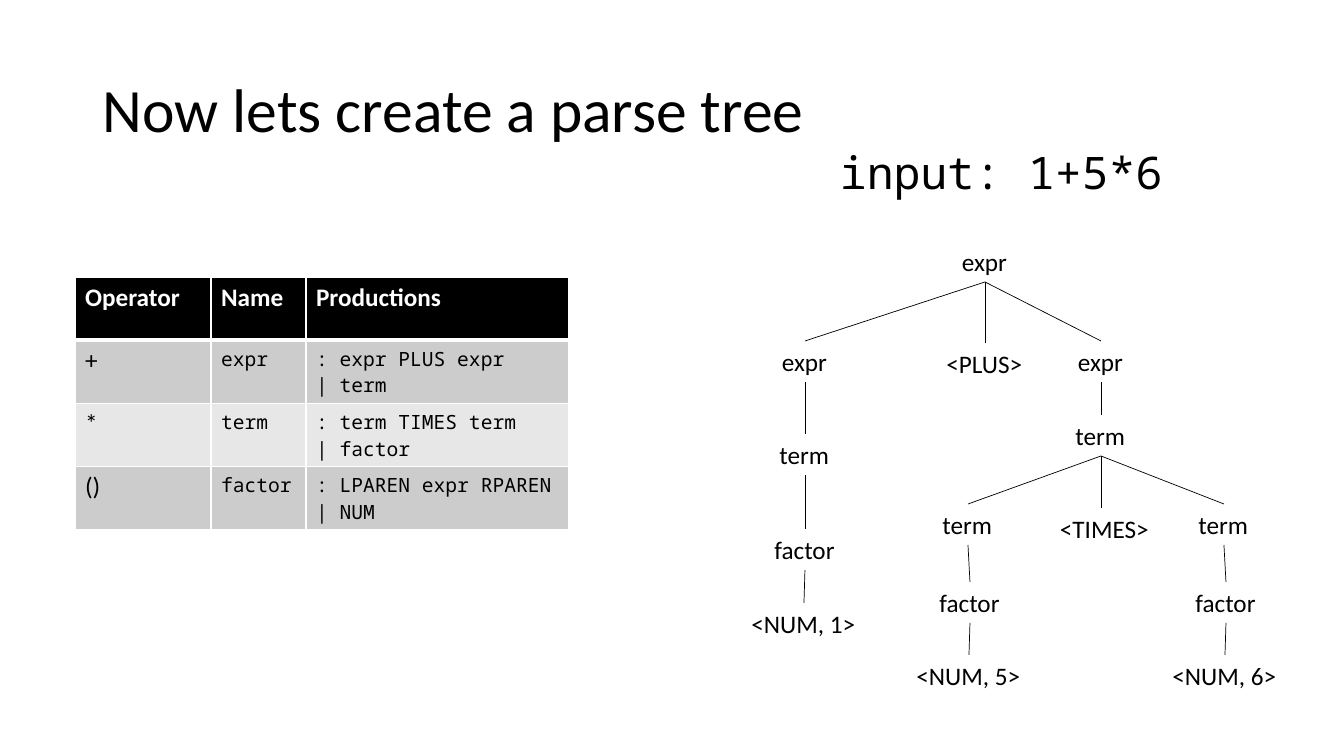
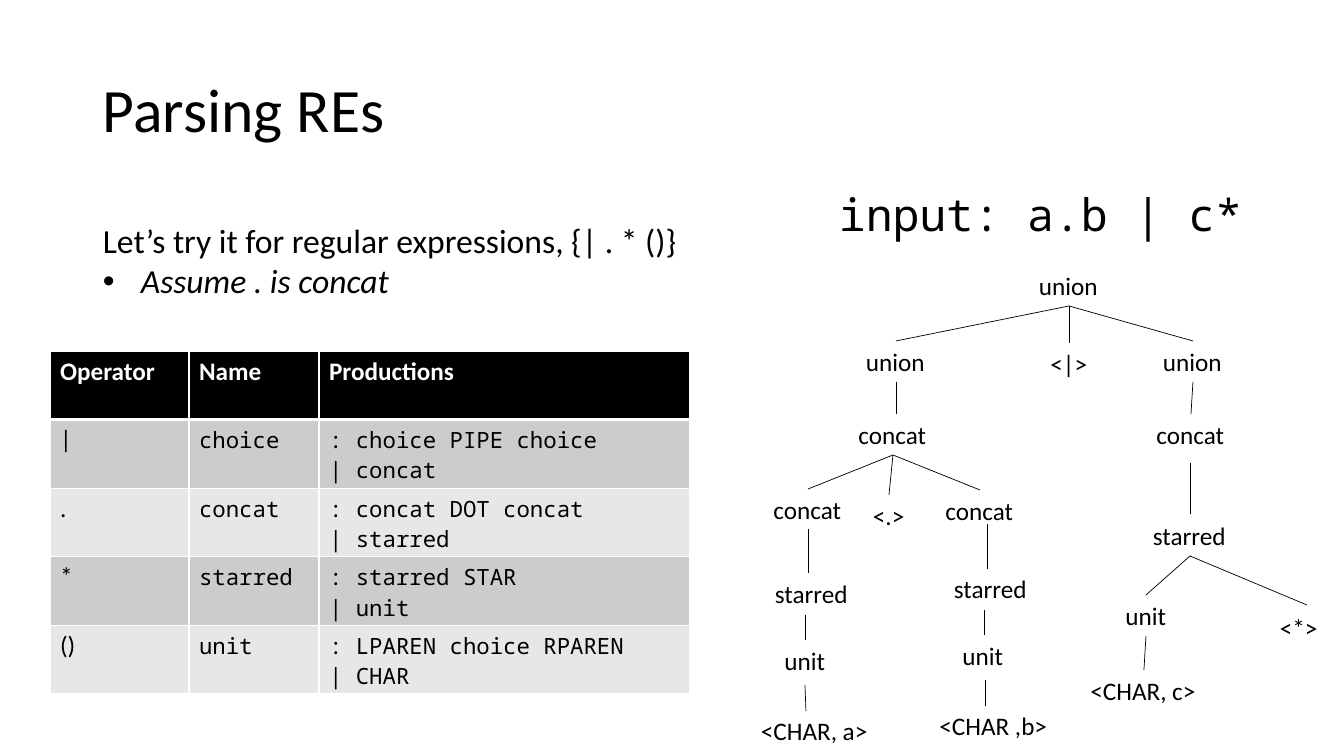
from dataclasses import dataclass

from lxml import etree
from pptx import Presentation
from pptx.dml.color import RGBColor
from pptx.enum.shapes import MSO_CONNECTOR
from pptx.enum.text import MSO_ANCHOR, MSO_AUTO_SIZE
from pptx.oxml.ns import qn
from pptx.util import Emu, Pt

STRAIGHT = MSO_CONNECTOR.STRAIGHT
MIDDLE = MSO_ANCHOR.MIDDLE
GROW = MSO_AUTO_SIZE.SHAPE_TO_FIT_TEXT

EMU_PER_PX = 914400 / 100.8
BODY, MONO = "Calibri", "Noto Sans Mono"
BLACK, WHITE = "000000", "FFFFFF"
BANDS = ("CCCCCC", "E7E7E7")
TITLE_BOX = (93, 40, 1159, 146)
HEADINGS = ("Operator", "Name", "Productions")
LABEL_HEIGHT = 41
LABEL_WIDTHS = {
    "expr": 66, "term": 71, "factor": 81, "<PLUS>": 97, "<TIMES>": 110,
    "<NUM, 1>": 125, "<NUM, 5>": 125, "<NUM, 6>": 125,
    "union": 80, "concat": 89, "starred": 94, "unit": 61,
    "<|>": 57, "<.>": 52, "<*>": 58,
    "<CHAR, a>": 128, "<CHAR ,b>": 129, "<CHAR, c>": 127,
}


@dataclass
class Node:
    """A tree label: centre x and top y within the tree box.

    branch overrides the line from the parent (x1, y1, x2, y2).
    """
    label: str
    x: int
    y: int
    children: tuple = ()
    branch: tuple = ()


def px(length):
    """Turn pixels into EMU."""
    return Emu(round(length * EMU_PER_PX))


def color(hex_string):
    """Turn a hex string into a colour."""
    return RGBColor.from_string(hex_string)


def add_run(paragraph, text, size, font=BODY, ink=BLACK, bold=False, italic=False):
    """Append one formatted run."""
    run = paragraph.add_run()
    run.text = text
    run.font.size = Pt(size)
    run.font.name = font
    run.font.bold = bold
    run.font.italic = italic
    run.font.color.rgb = color(ink)


def add_frame(slide, box, wrap=False):
    """Add a text box and return its text frame."""
    frame = slide.shapes.add_textbox(*map(px, box)).text_frame
    frame.word_wrap = wrap
    if not wrap:
        frame.auto_size = GROW
    return frame


def add_title(slide, text):
    """Place the slide title."""
    frame = add_frame(slide, TITLE_BOX, wrap=True)
    frame.vertical_anchor = MIDDLE
    heading = frame.paragraphs[0]
    heading.line_spacing = 0.9
    add_run(heading, text, 44)


def add_input(slide, box, text):
    """Show the string to be parsed."""
    add_run(add_frame(slide, box).paragraphs[0], text, 32, MONO)


def add_intro(slide, box, statement, assumption):
    """Place a statement with one bulleted assumption below it."""
    frame = add_frame(slide, box)
    add_run(frame.paragraphs[0], statement, 24)
    bulleted = frame.add_paragraph()
    props = bulleted._p.get_or_add_pPr()
    props.set("marL", str(px(38)))
    props.set("indent", str(-px(38)))
    etree.SubElement(props, qn("a:buFont")).set("typeface", "Arial")
    etree.SubElement(props, qn("a:buChar")).set("char", "•")
    add_run(bulleted, assumption, 24, italic=True)


def set_borders(cell, header):
    """Draw white cell borders, heavier below the header."""
    props = cell._tc.get_or_add_tcPr()
    widths = {"lnL": 1, "lnR": 1}
    if header:
        widths["lnT"] = 1
    widths["lnB"] = 3 if header else 1
    for place, (side, width) in enumerate(widths.items()):
        border = etree.Element(qn(f"a:{side}"), w=str(Pt(width)))
        fill = etree.SubElement(border, qn("a:solidFill"))
        etree.SubElement(fill, qn("a:srgbClr")).set("val", WHITE)
        props.insert(place, border)


def add_grammar(slide, box, column_widths, rules, code_size):
    """Place the grammar table in its box."""
    rows = (HEADINGS, *rules)
    table = slide.shapes.add_table(len(rows), len(HEADINGS), *map(px, box)).table
    for column, width in zip(table.columns, column_widths):
        column.width = px(width)
    for r, texts in enumerate(rows):
        table.rows[r].height = px(box[3] / len(rows))
        header = r == 0
        for c, text in enumerate(texts):
            cell = table.cell(r, c)
            cell.fill.solid()
            cell.fill.fore_color.rgb = color(BLACK if header else BANDS[(r - 1) % 2])
            set_borders(cell, header)
            paragraph = cell.text_frame.paragraphs[0]
            for i, line in enumerate(text.split("\n")):
                if i:
                    paragraph.add_line_break()
                if header:
                    add_run(paragraph, line, 18, ink=WHITE, bold=True)
                elif c == 0:
                    add_run(paragraph, line, 18)
                else:
                    add_run(paragraph, line, code_size, MONO)


def add_branch(slide, x1, y1, x2, y2):
    """Draw a thin line between two tree labels."""
    branch = slide.shapes.add_connector(STRAIGHT, *map(px, (x1, y1, x2, y2)))
    branch.line.width = Pt(0.5)
    branch.line.color.rgb = color(BLACK)
    etree.SubElement(branch._element.spPr, qn("a:effectLst"))


def add_tree(slide, origin, node):
    """Draw a node and everything below it, relative to the origin."""
    left, top = origin
    width = LABEL_WIDTHS[node.label]
    label_box = (left + node.x - width / 2, top + node.y, width, LABEL_HEIGHT)
    add_run(add_frame(slide, label_box).paragraphs[0], node.label, 18)
    for child in node.children:
        x1, y1, x2, y2 = child.branch or (
            node.x, node.y + LABEL_HEIGHT, child.x, child.y)
        add_branch(slide, left + x1, top + y1, left + x2, top + y2)
        add_tree(slide, origin, child)


def add_slide(deck, title):
    """Add a blank slide with a title."""
    slide = deck.slides.add_slide(deck.slide_layouts[6])
    slide.background.fill.solid()
    slide.background.fill.fore_color.rgb = color(WHITE)
    add_title(slide, title)
    return slide


ARITHMETIC_RULES = (
    ("+", "expr", ": expr PLUS expr\n| term"),
    ("*", "term", ": term TIMES term\n| factor"),
    ("()", "factor", ": LPAREN expr RPAREN\n| NUM"),
)
ARITHMETIC_TREE = Node("expr", 244, 0, (
    Node("expr", 64, 100, (
        Node("term", 64, 193, (
            Node("factor", 64, 288, (Node("<NUM, 1>", 63, 362),)),)),)),
    Node("<PLUS>", 244, 102),
    Node("expr", 360, 100, (
        Node("term", 360, 174, (
            Node("term", 227, 263, (
                Node("factor", 229, 341, (Node("<NUM, 5>", 228, 414),)),)),
            Node("<TIMES>", 364, 267, branch=(360, 215, 360, 267)),
            Node("term", 483, 263, (
                Node("factor", 485, 341, (Node("<NUM, 6>", 484, 414),)),)),
        )),)),
))

REGEX_RULES = (
    ("|", "choice", ": choice PIPE choice\n| concat"),
    (".", "concat", ": concat DOT concat\n| starred"),
    ("*", "starred", ": starred STAR\n| unit"),
    ("()", "unit", ": LPAREN choice RPAREN\n| CHAR"),
)
BRANCH_A = Node("starred", 61, 308, (
    Node("unit", 54, 375, (
        Node("<CHAR, a>", 64, 445, branch=(54, 420, 55, 446)),
    ), (54, 350, 54, 375)),
), (57, 264, 57, 308))
BRANCH_B = Node("starred", 240, 303, (
    Node("unit", 232, 370, (
        Node("<CHAR ,b>", 243, 440, branch=(234, 415, 234, 441)),
    ), (233, 345, 233, 370)),
), (236, 259, 236, 304))
BRANCH_C = Node("starred", 439, 250, (
    Node("unit", 395, 330, (Node("<CHAR, c>", 393, 405),)),
    Node("<*>", 548, 342, branch=(439, 291, 556, 340)),
), (439, 198, 439, 249))
REGEX_TREE = Node("union", 318, 0, (
    Node("union", 145, 76, (
        Node("concat", 142, 149, (
            Node("concat", 57, 224, (BRANCH_A,)),
            Node("<.>", 138, 230),
            Node("concat", 229, 225, (BRANCH_B,)),
        ), (145, 117, 145, 149)),)),
    Node("<|>", 318, 78),
    Node("union", 442, 76, (Node("concat", 440, 149, (BRANCH_C,)),)),
))


def build_arithmetic(deck):
    """Build the slide on arithmetic expressions."""
    slide = add_slide(deck, "Now lets create a parse tree")
    add_input(slide, (830, 140, 347, 65), "input: 1+5*6")
    add_tree(slide, (741, 241), ARITHMETIC_TREE)
    add_grammar(slide, (75, 277, 494, 253), (136, 95, 263), ARITHMETIC_RULES, 14)


def build_regex(deck):
    """Build the slide on regular expressions."""
    slide = add_slide(deck, "Parsing REs")
    add_input(slide, (829, 182, 428, 65), "input: a.b | c*")
    add_tree(slide, (751, 265), REGEX_TREE)
    add_grammar(slide, (50, 351, 640, 343), (139, 130, 371), REGEX_RULES, 16)
    add_intro(slide, (93, 215, 599, 92),
              "Let’s try it for regular expressions, {| . * ()}",
              "Assume . is concat")


deck = Presentation()
deck.slide_width, deck.slide_height = px(1344), px(756)
build_arithmetic(deck)
build_regex(deck)
deck.save("out.pptx")
